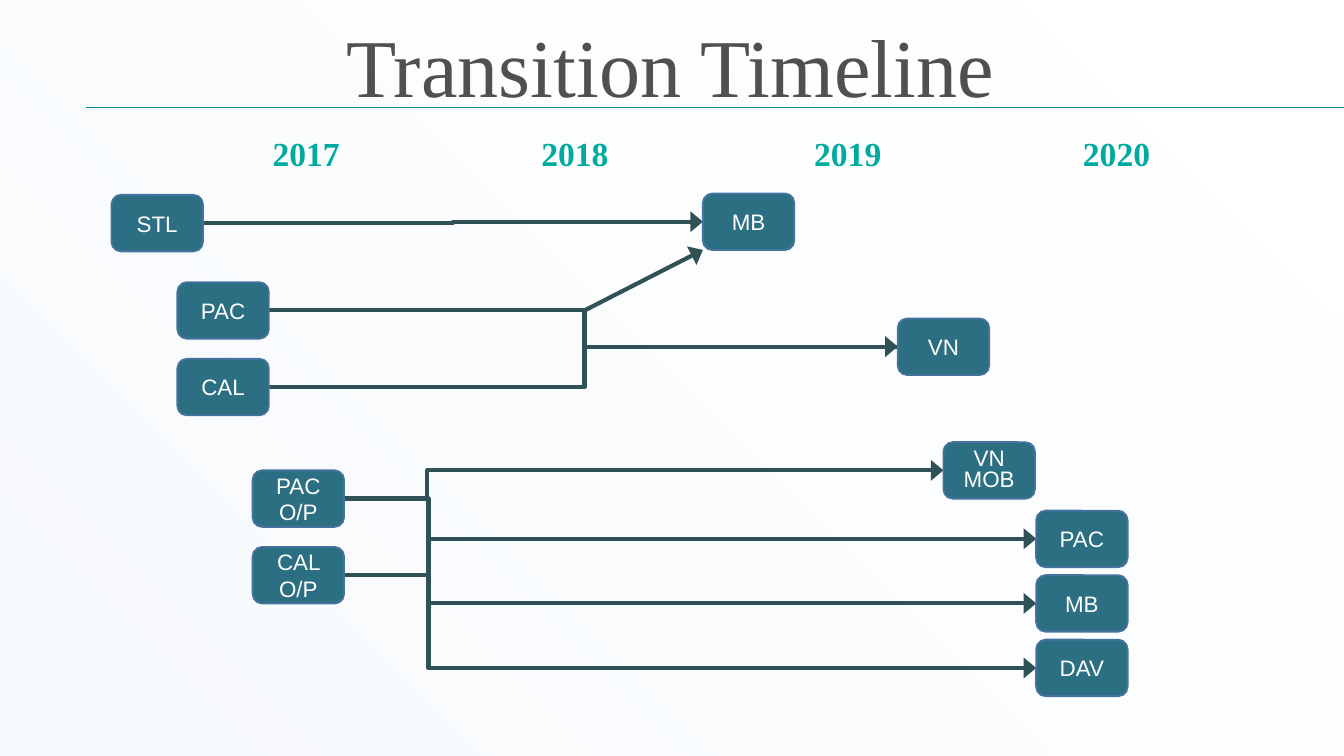
from lxml import etree
from pptx import Presentation
from pptx.dml.color import RGBColor
from pptx.enum.shapes import MSO_CONNECTOR, MSO_SHAPE
from pptx.enum.text import MSO_ANCHOR, PP_ALIGN
from pptx.oxml.ns import qn
from pptx.util import Inches, Pt

STRAIGHT, ELBOW = MSO_CONNECTOR.STRAIGHT, MSO_CONNECTOR.ELBOW
ROUNDED, RECTANGLE = MSO_SHAPE.ROUNDED_RECTANGLE, MSO_SHAPE.RECTANGLE
CENTER, LEFT = PP_ALIGN.CENTER, PP_ALIGN.LEFT
MIDDLE, BOTTOM, TOP = MSO_ANCHOR.MIDDLE, MSO_ANCHOR.BOTTOM, MSO_ANCHOR.TOP

COLORS = {
    "tint": "F7FAFD", "white": "FFFFFF", "title": "524F50", "year": "00AAA0",
    "box": "2C6E82", "border": "43739E", "arrow": "305256", "rule": "008599",
}

# Content
SLIDE_WIDTH = 10
SLIDE_HEIGHT = SLIDE_WIDTH * 9 / 16
TITLE = "Transition Timeline"
YEARS = [("2017", 1.93), ("2018", 3.93), ("2019", 5.96), ("2020", 7.96)]
BOX_WIDTH, BOX_HEIGHT = 0.68, 0.42
# key: (label, left, top, line spacing); \v is a line break
BOXES = {
    "stl": ("STL", 0.83, 1.45, 1.0),
    "mb": ("MB", 5.23, 1.44, 1.0),
    "pac": ("PAC", 1.32, 2.1, 1.0),
    "cal": ("CAL", 1.32, 2.67, 1.0),
    "vn": ("VN", 6.68, 2.37, 1.0),
    "pac_op": ("PAC O/P", 1.88, 3.5, 1.0),
    "cal_op": ("CAL O/P", 1.88, 4.07, 1.0),
    "vn_mob": ("VN\vMOB", 7.02, 3.29, 0.8),
    "pac_end": ("PAC", 7.71, 3.8, 1.0),
    "mb_end": ("MB", 7.71, 4.28, 1.0),
    "dav": ("DAV", 7.71, 4.76, 1.0),
}
# source, target, x of the bend, arrowhead
ROUTES = [
    ("pac", "vn", 4.35, False),
    ("cal_op", "pac_end", 3.19, True),
    ("pac_op", "mb_end", 3.19, True),
    ("pac_op", "vn_mob", 3.18, True),
    ("cal", "vn", 4.35, True),
    ("stl", "mb", 3.37, True),
    ("cal_op", "dav", 3.19, True),
]

TITLE_FONT = {"size": Pt(44), "name": "Times New Roman"}
YEAR_FONT = {"size": Pt(18), "name": "Times New Roman", "bold": True}
BOX_FONT = {"size": Pt(12), "name": "Arial"}


def rgb(name):
    return RGBColor.from_string(COLORS[name])


def write(shape, text, font, color, align, anchor, spacing=1.0):
    frame = shape.text_frame
    frame.word_wrap = True
    frame.vertical_anchor = anchor
    para = frame.paragraphs[0]
    para.text = text
    para.alignment = align
    para.line_spacing = spacing
    for span in para.runs:
        for name, value in font.items():
            setattr(span.font, name, value)
        span.font.color.rgb = rgb(color)


def add_text(slide, place, *args):
    box = slide.shapes.add_textbox(*map(Inches, place))
    write(box, *args)


def add_line(slide, kind, start, end, color, width, arrow=False):
    line = slide.shapes.add_connector(kind, *map(Inches, (*start, *end)))
    line.line.color.rgb = rgb(color)
    line.line.width = Pt(width)
    if arrow:
        outline = line.line._get_or_add_ln()
        etree.SubElement(outline, qn("a:tailEnd"), type="triangle", w="lg")
    etree.SubElement(line._element.spPr, qn("a:effectLst"))
    return line


def add_route(slide, source, target, bend, arrow):
    _, left, top, _ = BOXES[source]
    _, end_x, end_top, _ = BOXES[target]
    start_x = left + BOX_WIDTH
    line = add_line(slide, ELBOW, (start_x, top + BOX_HEIGHT / 2),
                    (end_x, end_top + BOX_HEIGHT / 2), "arrow", 2.25, arrow)
    share = round((bend - start_x) / (end_x - start_x) * 100000)
    geometry = line._element.spPr.find(qn("a:prstGeom"))
    guides = geometry.find(qn("a:avLst"))
    if guides is None:
        guides = etree.SubElement(geometry, qn("a:avLst"))
    etree.SubElement(guides, qn("a:gd"), name="adj1", fmla=f"val {share}")


def add_box(slide, label, left, top, spacing):
    box = slide.shapes.add_shape(
        ROUNDED, *map(Inches, (left, top, BOX_WIDTH, BOX_HEIGHT)))
    box.shadow.inherit = False
    box.fill.solid()
    box.fill.fore_color.rgb = rgb("box")
    box.line.color.rgb = rgb("border")
    box.line.width = Pt(1)
    write(box, label, BOX_FONT, "white", CENTER, MIDDLE, spacing)


def add_backdrop(slide):
    backdrop = slide.shapes.add_shape(
        RECTANGLE, *map(Inches, (0, 0, SLIDE_WIDTH, SLIDE_HEIGHT)))
    backdrop.shadow.inherit = False
    backdrop.line.fill.background()
    fill = backdrop.fill
    fill.gradient()
    fill.gradient_angle = 45
    for stop, color, position in zip(fill.gradient_stops, ("tint", "white"), (0.07, 0.93)):
        stop.color.rgb = rgb(color)
        stop.position = position
    last_color = backdrop._element.spPr.findall(".//" + qn("a:srgbClr"))[-1]
    etree.SubElement(last_color, qn("a:alpha"), val="86000")


def main():
    deck = Presentation()
    deck.slide_width, deck.slide_height = Inches(SLIDE_WIDTH), Inches(SLIDE_HEIGHT)
    slide = deck.slides.add_slide(deck.slide_layouts[6])

    # Backdrop, tinted at the bottom left
    add_backdrop(slide)

    # Routes lie behind the boxes
    for route in ROUTES:
        add_route(slide, *route)
    for box in BOXES.values():
        add_box(slide, *box)
    add_line(slide, STRAIGHT, (4.35, 2.31), (5.23, 1.86), "arrow", 2.25, True)

    # Title, rule and years
    add_text(slide, (0.68, 0.01, 8.62, 0.9), TITLE, TITLE_FONT, "title",
             CENTER, BOTTOM, 0.9)
    add_line(slide, STRAIGHT, (0.64, 0.8), (SLIDE_WIDTH, 0.8), "rule", 1)
    for year, left in YEARS:
        add_text(slide, (left, 0.94, 1.27, 0.4), year, YEAR_FONT, "year", LEFT, TOP)

    deck.save("out.pptx")


if __name__ == "__main__":
    main()
